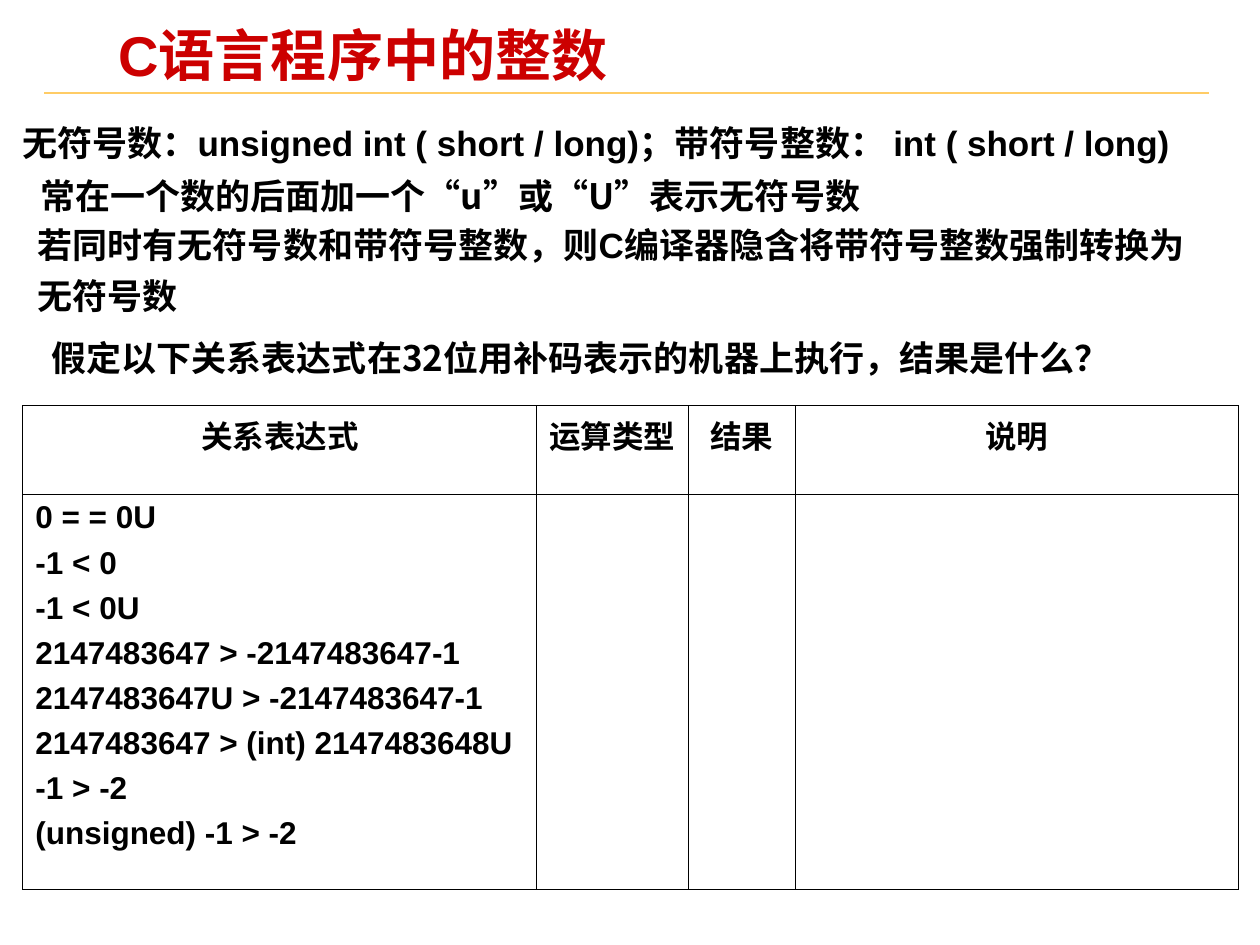
from dataclasses import dataclass
from typing import Any

from lxml.etree import SubElement
from pptx import Presentation
from pptx.dml.color import RGBColor
from pptx.enum.shapes import MSO_CONNECTOR
from pptx.enum.text import MSO_ANCHOR, MSO_AUTO_SIZE, PP_ALIGN
from pptx.oxml.ns import qn
from pptx.util import Cm, Pt


@dataclass(frozen=True)
class Theme:
    black: RGBColor = RGBColor(0, 0, 0)
    red: RGBColor = RGBColor(0xCC, 0, 0)
    gold: RGBColor = RGBColor(0xFF, 0xCC, 0x66)
    latin: str = "Arial"
    asian: str = "Noto Sans CJK SC"
    title: float = 32
    body: float = 20
    cell: float = 18
    edge: float = 0.45


@dataclass(frozen=True)
class Note:
    left: float
    top: float
    width: float
    height: float
    runs: tuple[tuple[str, str], ...]
    space: float = 1.2
    wrap: bool = True


THEME = Theme()
LATIN, ASIAN = THEME.latin, THEME.asian

NOTES = (
    Note(0.2, 2.16, 24.33, 1.27, ((
        "无符号数：unsigned int ( short / long)；带符号整数： int ( short / long)", LATIN),), wrap=False),
    Note(0.56, 3.23, 18.87, 1.27, (
        ("常在一个数的后面加一个", ASIAN), ("“", LATIN), ("u", ASIAN), ("”", LATIN),
        ("或", ASIAN), ("“", LATIN), ("U", ASIAN), ("”", LATIN), ("表示无符号数", ASIAN))),
    Note(0.51, 4.22, 24.16, 2.29, ((
        "若同时有无符号数和带符号整数，则C编译器隐含将带符号整数强制转换为无符号数", LATIN),)),
    Note(0.79, 6.65, 22.68, 1.12, ((
        "假定以下关系表达式在32位用补码表示的机器上执行，结果是什么？", ASIAN),), space=1.0),
)
HEADS = ("关系表达式", "运算类型", "结果", "说明")
TESTS = (
    "0 = = 0U", "-1 < 0", "-1 < 0U",
    "2147483647 > -2147483647-1", "2147483647U > -2147483647-1",
    "2147483647 > (int) 2147483648U", "-1 > -2", "(unsigned) -1 > -2",
)
COLS = (10.36, 3.05, 2.16, 8.94)
ROWS = (1.78, 7.97)


def apply(item: Any, values: dict[str, Any]) -> None:
    for name, value in values.items():
        setattr(item, name, value)


def write(para: Any, text: str, size: float, face: str = LATIN,
          color: RGBColor = THEME.black) -> None:
    run = para.add_run()
    run.text = text
    apply(run.font, {"size": Pt(size), "bold": True, "name": face})
    run.font.color.rgb = color
    SubElement(run.font._element, qn("a:ea"), typeface=ASIAN)


def add_title(slide: Any, text: str) -> None:
    frame = slide.shapes.add_textbox(Cm(2.21), Cm(0.53), Cm(16.87), Cm(1.32)).text_frame
    apply(frame, {
        "word_wrap": True, "vertical_anchor": MSO_ANCHOR.MIDDLE,
        "margin_left": Cm(0.18), "margin_right": Cm(0.18),
        "margin_top": Cm(0.08), "margin_bottom": Cm(0.08),
    })
    para = frame.paragraphs[0]
    para.line_spacing = 0.87
    write(para, text, THEME.title, color=THEME.red)


def add_rule(slide: Any) -> None:
    rule = slide.shapes.add_connector(
        MSO_CONNECTOR.STRAIGHT, Cm(0.89), Cm(1.88), Cm(24.38), Cm(1.88))
    rule.line.color.rgb = THEME.gold
    rule.line.width = Pt(1)
    SubElement(rule._element.spPr, qn("a:effectLst"))


def add_note(slide: Any, note: Note) -> None:
    box = slide.shapes.add_textbox(
        Cm(note.left), Cm(note.top), Cm(note.width), Cm(note.height))
    apply(box.text_frame, {
        "word_wrap": note.wrap, "auto_size": MSO_AUTO_SIZE.SHAPE_TO_FIT_TEXT,
    })
    para = box.text_frame.paragraphs[0]
    para.line_spacing = note.space
    for text, face in note.runs:
        write(para, text, THEME.body, face)


def add_edges(cell: Any) -> None:
    props = cell._tc.get_or_add_tcPr()
    for tag in ("a:lnL", "a:lnR", "a:lnT", "a:lnB"):
        line = SubElement(props, qn(tag), w=str(Pt(THEME.edge)))
        fill = SubElement(line, qn("a:solidFill"))
        SubElement(fill, qn("a:srgbClr"), val=str(THEME.black))


def fill_cell(cell: Any, lines: tuple[str, ...], align: PP_ALIGN) -> None:
    for index, text in enumerate(lines):
        para = cell.text_frame.paragraphs[0] if index == 0 else cell.text_frame.add_paragraph()
        para.alignment = align
        if index:
            para.space_before = Pt(5.6)
        write(para, text, THEME.cell)


def add_grid(slide: Any) -> None:
    table = slide.shapes.add_table(
        len(ROWS), len(COLS), Cm(0.46), Cm(8.18), Cm(sum(COLS)), Cm(sum(ROWS))).table
    apply(table, {"first_row": False, "horz_banding": False})
    for col, width in zip(table.columns, COLS):
        col.width = Cm(width)
    for row, height in zip(table.rows, ROWS):
        row.height = Cm(height)
    for cell in table.iter_cells():
        add_edges(cell)
        cell.fill.background()
    for index, head in enumerate(HEADS):
        fill_cell(table.cell(0, index), (head,), PP_ALIGN.CENTER)
    fill_cell(table.cell(1, 0), TESTS, PP_ALIGN.LEFT)


def main() -> None:
    deck = Presentation()
    apply(deck, {"slide_width": Cm(25.4), "slide_height": Cm(19.05)})
    slide = deck.slides.add_slide(deck.slide_layouts[6])
    add_rule(slide)
    add_title(slide, "C语言程序中的整数")
    add_grid(slide)
    for note in NOTES:
        add_note(slide, note)
    deck.save("out.pptx")


if __name__ == "__main__":
    main()
